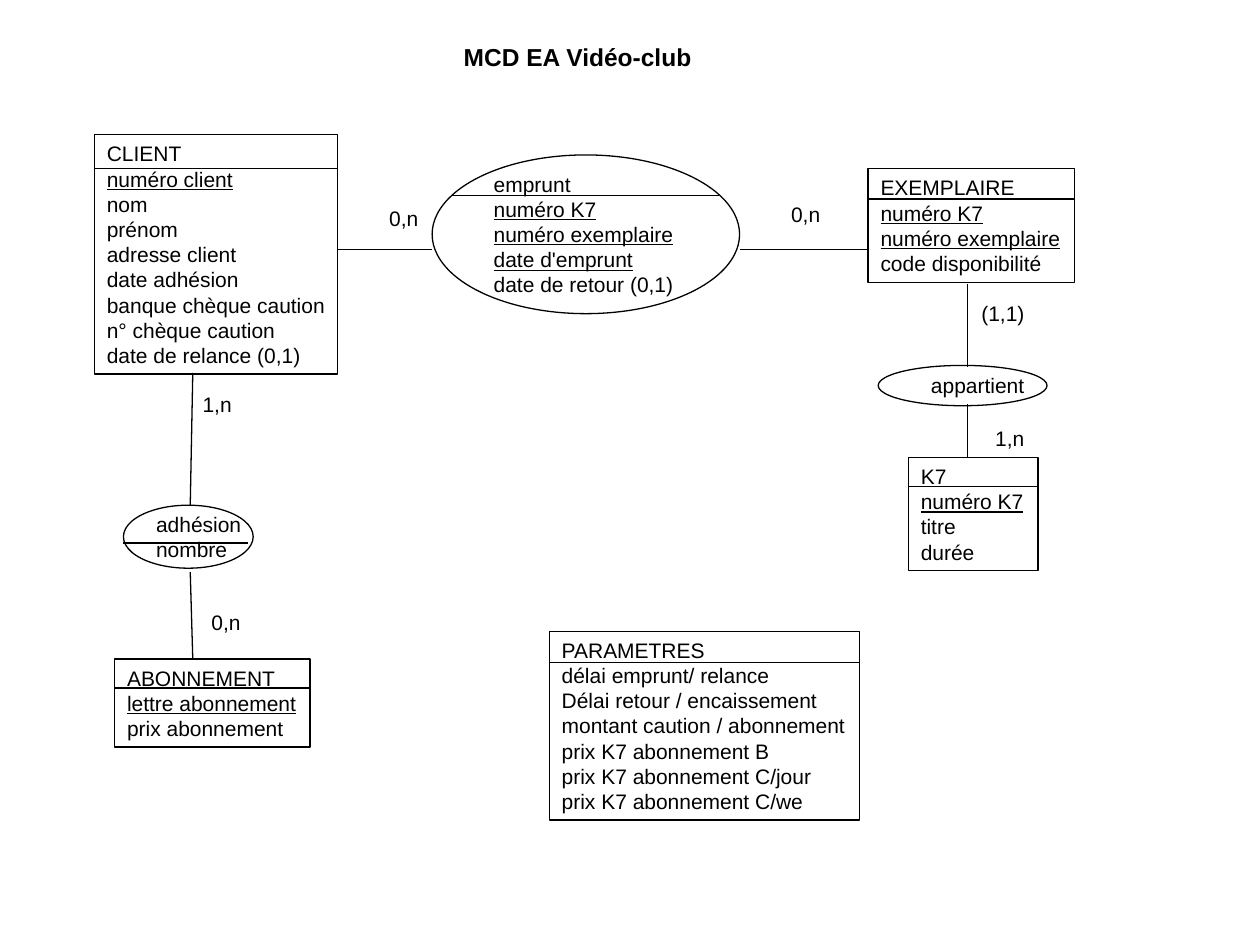
import pptx
import pptx.dml.color
import pptx.enum.shapes
import pptx.enum.text
import pptx.oxml
import pptx.util

PX = 9144  # 100 px to the inch
INK = "000000"
SHAPES = pptx.enum.shapes.MSO_SHAPE

# left, top, width, height, rule offset, name, keys, other attributes
ENTITIES = [
    (75, 107, 193, 190, 27, "CLIENT", ["numéro client"],
     ["nom", "prénom", "adresse client", "date adhésion",
      "banque chèque caution", "n° chèque caution", "date de relance (0,1)"]),
    (91, 523, 155, 70, 23, "ABONNEMENT", ["lettre abonnement"], ["prix abonnement"]),
    (689, 134, 164, 90, 24, "EXEMPLAIRE", ["numéro K7", "numéro exemplaire"],
     ["code disponibilité"]),
    (721, 363, 103, 90, 23, "K7", ["numéro K7"], ["titre", "durée"]),
    (436, 501, 246, 150, 25, "PARAMETRES", [],
     ["délai emprunt/ relance", "Délai retour / encaissement",
      "montant caution / abonnement", "prix K7 abonnement B",
      "prix K7 abonnement C/jour", "prix K7 abonnement C/we"]),
]

# ellipse, text offset and size, rule (start, end, offset), name, keys, others
ASSOCIATIONS = [
    ((98, 401, 103, 50), (16, 0, 89, 50), (0, 99, 30), "adhésion", [], ["nombre"]),
    ((343, 123, 244, 126), (39, 8, 164, 110), (15, 228, 32), "emprunt",
     ["numéro K7", "numéro exemplaire", "date d'emprunt"], ["date de retour (0,1)"]),
    ((697, 290, 134, 32), (32, 1, 95, 30), None, "appartient", [], []),
]

LINKS = [
    (153, 296, 151, 401), (151, 454, 153, 523),
    (268, 198, 343, 198), (587, 198, 689, 198),
    (768, 225, 768, 291), (768, 321, 768, 363),
]

CARDINALITIES = [
    (769, 234, 55, "(1,1)"), (618, 155, 44, "0,n"), (299, 158, 44, "0,n"),
    (151, 306, 44, "1,n"), (158, 479, 44, "0,n"), (780, 333, 44, "1,n"),
]


def px(*lengths):
    return [pptx.util.Emu(length * PX) for length in lengths]


def color(value):
    return pptx.dml.color.RGBColor.from_string(value)


def write(box, lines, keys=(), size=12, bold=False):
    """Fill a box with one left-aligned paragraph a line, keys underlined."""
    frame = box.text_frame
    frame.word_wrap = False
    frame.auto_size = pptx.enum.text.MSO_AUTO_SIZE.SHAPE_TO_FIT_TEXT
    frame.vertical_anchor = pptx.enum.text.MSO_ANCHOR.TOP
    for index, line in enumerate(lines):
        para = frame.add_paragraph() if index else frame.paragraphs[0]
        para.text = line
        para.alignment = pptx.enum.text.PP_ALIGN.LEFT
        para.font.name = "Arial"
        para.font.size = pptx.util.Pt(size)
        para.font.bold = bold
        para.font.underline = line in keys
        para.font.color.rgb = color(INK)


def add_outline(page, kind, box):
    shape = page.shapes.add_shape(kind, *px(*box))
    shape.shadow.inherit = False
    shape.fill.background()
    shape.line.color.rgb = color(INK)
    shape.line.width = pptx.util.Pt(0.75)
    return shape


def add_line(page, *ends):
    line = page.shapes.add_connector(
        pptx.enum.shapes.MSO_CONNECTOR.STRAIGHT, *px(*ends))
    line.line.color.rgb = color(INK)
    line.line.width = pptx.util.Pt(0.75)
    properties = line._element.spPr
    properties.append(properties.makeelement(pptx.oxml.ns.qn("a:effectLst"), {}))


def add_title(page, left, top, width, height, text):
    title = page.shapes.title
    title.left, title.top, title.width, title.height = px(left, top, width, height)
    write(title, [text], size=14, bold=True)


def add_entity(page, left, top, width, height, rule, name, keys, others):
    box = add_outline(page, SHAPES.RECTANGLE, (left, top, width, height))
    write(box, [name, *keys, *others], keys)
    add_line(page, left, top + rule, left + width, top + rule)


def add_association(page, ellipse, text, rule, name, keys, others):
    left, top = ellipse[:2]
    add_outline(page, SHAPES.OVAL, ellipse)
    dx, dy, width, height = text
    box = page.shapes.add_textbox(*px(left + dx, top + dy, width, height))
    write(box, [name, *keys, *others], keys)
    if rule:
        start, end, offset = rule
        add_line(page, left + start, top + offset, left + end, top + offset)


def add_cardinality(page, left, top, width, text):
    write(page.shapes.add_textbox(*px(left, top, width, 30)), [text])


def main():
    deck = pptx.Presentation()
    deck.slide_width, deck.slide_height = px(1000, 750)
    page = deck.slides.add_slide(deck.slide_layouts.get_by_name("Title Only"))
    add_title(page, 358, 28, 202, 34, "MCD EA Vidéo-club")
    for entity in ENTITIES:
        add_entity(page, *entity)
    for association in ASSOCIATIONS:
        add_association(page, *association)
    for link in LINKS:
        add_line(page, *link)
    for cardinality in CARDINALITIES:
        add_cardinality(page, *cardinality)
    deck.save("out.pptx")


if __name__ == "__main__":
    main()
